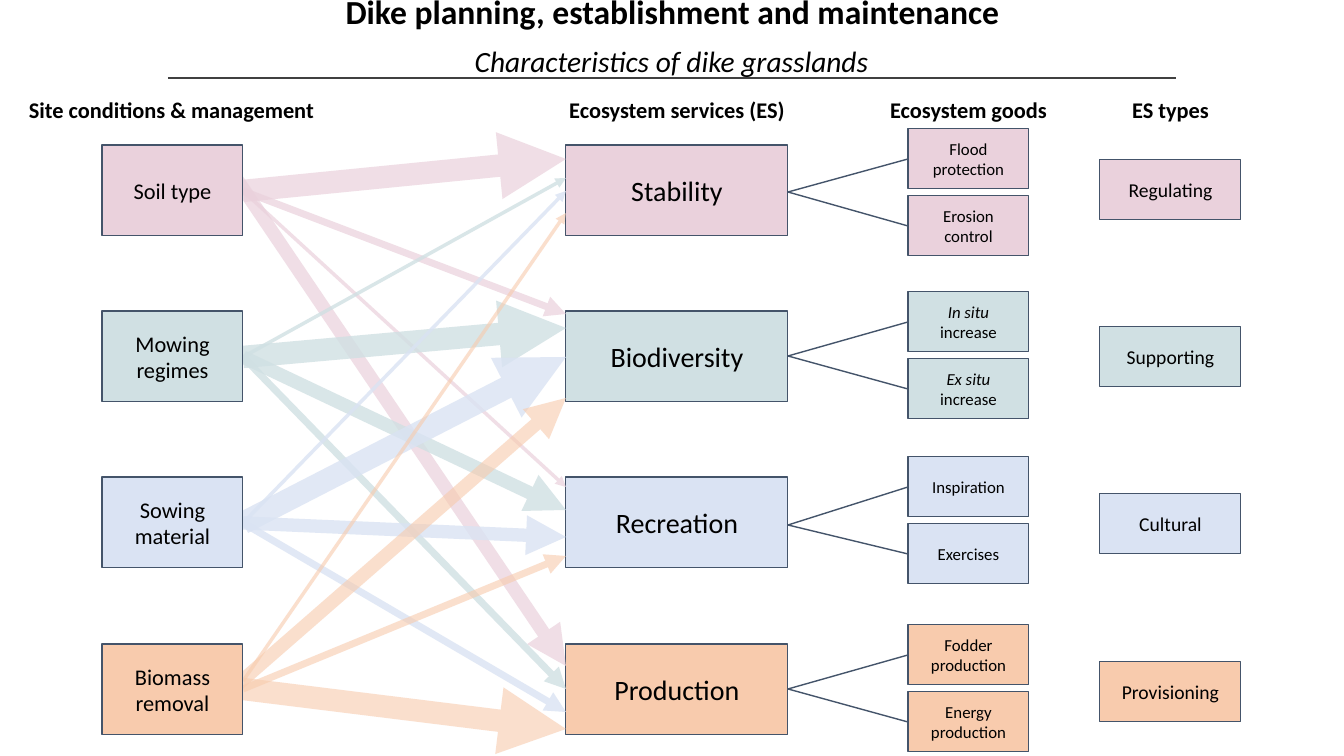
from lxml.etree import SubElement
from pptx import Presentation
from pptx.dml.color import RGBColor as Rgb
from pptx.enum.shapes import MSO_CONNECTOR as Connector, MSO_SHAPE as Shape
from pptx.enum.text import MSO_ANCHOR as Anchor, PP_ALIGN as Align
from pptx.oxml.ns import qn
from pptx.util import Pt

# Content: spans are (text, italic)
ROWS = [
    {"site": "Soil type", "service": "Stability", "type": "Regulating",
     "goods": [[("Flood protection", False)], [("Erosion control", False)]]},
    {"site": "Mowing regimes", "service": "Biodiversity", "type": "Supporting",
     "goods": [[("In situ", True), (" increase", False)],
               [("Ex situ ", True), ("increase", False)]]},
    {"site": "Sowing material", "service": "Recreation", "type": "Cultural",
     "goods": [[("Inspiration", False)], [("Exercises", False)]]},
    {"site": "Biomass removal", "service": "Production", "type": "Provisioning",
     "goods": [[("Fodder production", False)], [("Energy production", False)]]},
]
# Text, size name, bold, italic, (left, top, width, height)
HEADINGS = [
    ("Dike planning, establishment and maintenance", "title", True, False,
     (331, -14, 683, 50)),
    ("Ecosystem services (ES)", "heading", True, False, (553, 91, 248, 37)),
    ("Site conditions & management", "heading", True, False, (4, 91, 335, 37)),
    ("Ecosystem goods", "heading", True, False, (878, 91, 181, 37)),
    ("ES types", "heading", True, False, (1100, 91, 141, 37)),
    ("Characteristics of dike grasslands", "subtitle", False, True,
     (459, 38, 425, 45)),
]
# Per site, strongest effect first: (start x, start y, end y)
EFFECTS = [
    [(243, 191, 159), (236, 178, 666), (243, 191, 314), (243, 191, 487)],
    [(243, 357, 328), (243, 357, 510), (243, 357, 689), (243, 357, 178)],
    [(243, 523, 357), (243, 523, 537), (243, 523, 712), (243, 523, 191)],
    [(243, 689, 729), (229, 692, 398), (243, 689, 556), (243, 681, 213)],
]

THEME = {
    "font": "Calibri", "text": "000000", "outline": "44546A", "rule": "404040",
    "rows": ["EAD1DC", "D0E0E3", "DAE3F3", "F8CBAD"],
    "opacity": [70, 80, 80, 60],
    "effect_widths": [16, 9.5, 5, 2.5],
    "sizes": {"title": 24, "subtitle": 21, "heading": 16, "service": 20,
              "site": 16, "type": 14, "good": 12},
}

# Layout in pixels: left, width, height of each column
SCALE = 914400 / 100.8
COLUMNS = {"site": (102, 141, 91), "service": (566, 222, 91),
           "good": (908, 121, 60), "type": (1100, 141, 60)}
BOX_TOPS = [145 + 499 * row // 3 for row in range(4)]
TYPE_TOPS = [160 + 502 * row // 3 for row in range(4)]
GOOD_TOPS = [129, 292, 457, 625]
GOOD_STEP = 67
BRANCH_STARTS = [192, 356, 525, 689]
PADDING = 13


def emu(*pixels):
    return [round(value * SCALE) for value in pixels]


deck = Presentation()
deck.slide_width, deck.slide_height = emu(1344, 756)
page = deck.slides.add_slide(deck.slide_layouts[6])


def write(frame, spans, size, bold=False):
    frame.word_wrap = True
    para = frame.paragraphs[0]
    para.alignment = Align.CENTER
    for text, italic in spans:
        span = para.add_run()
        span.text = text
        formats = {"name": THEME["font"], "size": Pt(THEME["sizes"][size]),
                   "bold": bold, "italic": italic}
        for name, value in formats.items():
            setattr(span.font, name, value)
        span.font.color.rgb = Rgb.from_string(THEME["text"])


def add_box(column, top, spans, fill):
    left, width, height = COLUMNS[column]
    box = page.shapes.add_shape(Shape.RECTANGLE, *emu(left, top, width, height))
    box.shadow.inherit = False
    box.fill.solid()
    box.fill.fore_color.rgb = Rgb.from_string(fill)
    box.line.color.rgb = Rgb.from_string(THEME["outline"])
    box.line.width = Pt(0.75)
    frame = box.text_frame
    frame.vertical_anchor = Anchor.MIDDLE
    for side in ("left", "top", "right", "bottom"):
        setattr(frame, "margin_" + side, emu(PADDING)[0])
    write(frame, spans, column)


def add_line(start, end, color, width, opacity=None):
    line = page.shapes.add_connector(Connector.STRAIGHT, *emu(*start, *end))
    line.line.color.rgb = Rgb.from_string(color)
    line.line.width = Pt(width)
    properties = line._element.spPr
    SubElement(properties, qn("a:effectLst"))
    if opacity:
        stroke = properties.find(qn("a:ln"))
        paint = stroke.find(qn("a:solidFill"))[0]
        SubElement(paint, qn("a:alpha"), val=str(opacity * 1000))
        SubElement(stroke, qn("a:tailEnd"), type="triangle")


# Ecosystem services
for row, top, fill in zip(ROWS, BOX_TOPS, THEME["rows"]):
    add_box("service", top, [(row["service"], False)], fill)

# Effects of sites on services
service_left, service_width, _ = COLUMNS["service"]
for effects, color, opacity in zip(EFFECTS, THEME["rows"], THEME["opacity"]):
    for (x, y, end_y), width in zip(effects, THEME["effect_widths"]):
        add_line((x, y), (service_left, end_y), color, width, opacity)

# Site conditions, goods with their branches, and types
good_left, _, good_height = COLUMNS["good"]
for index, (row, fill) in enumerate(zip(ROWS, THEME["rows"])):
    add_box("site", BOX_TOPS[index], [(row["site"], False)], fill)
    for place, good in enumerate(row["goods"]):
        top = GOOD_TOPS[index] + place * GOOD_STEP
        add_box("good", top, good, fill)
        add_line((service_left + service_width, BRANCH_STARTS[index]),
                 (good_left, top + good_height / 2), THEME["outline"], 1)
    add_box("type", TYPE_TOPS[index], [(row["type"], False)], fill)

# Headings and rule
add_line((168, 78), (1176, 78), THEME["rule"], 1)
for text, size, bold, italic, area in HEADINGS:
    box = page.shapes.add_textbox(*emu(*area))
    write(box.text_frame, [(text, italic)], size, bold)

deck.save("out.pptx")
